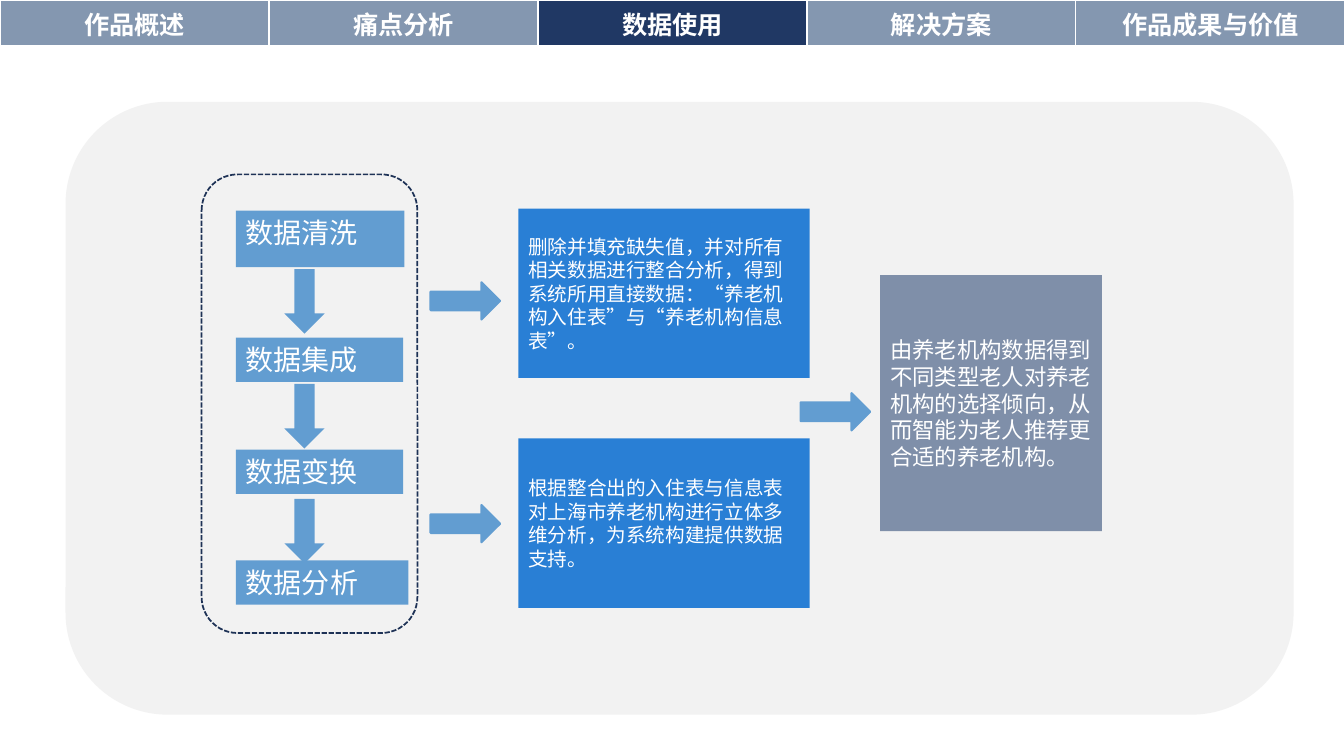
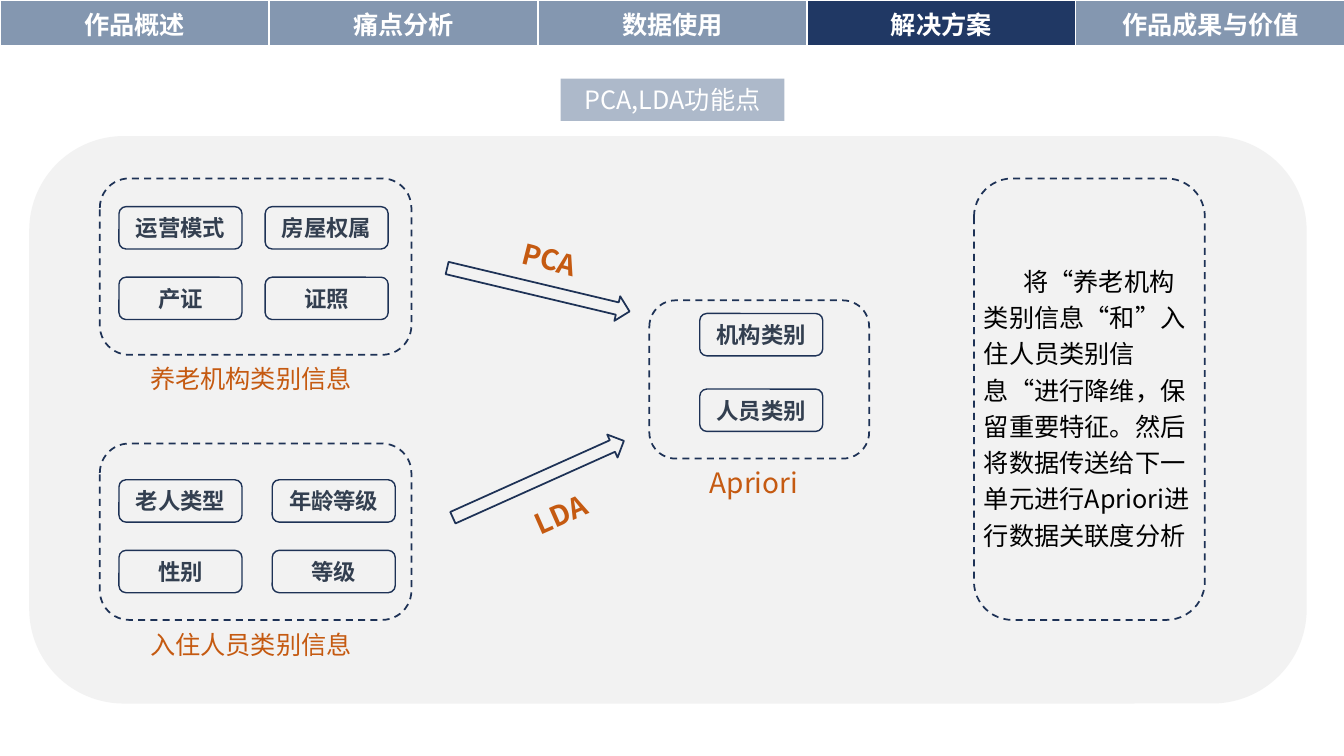
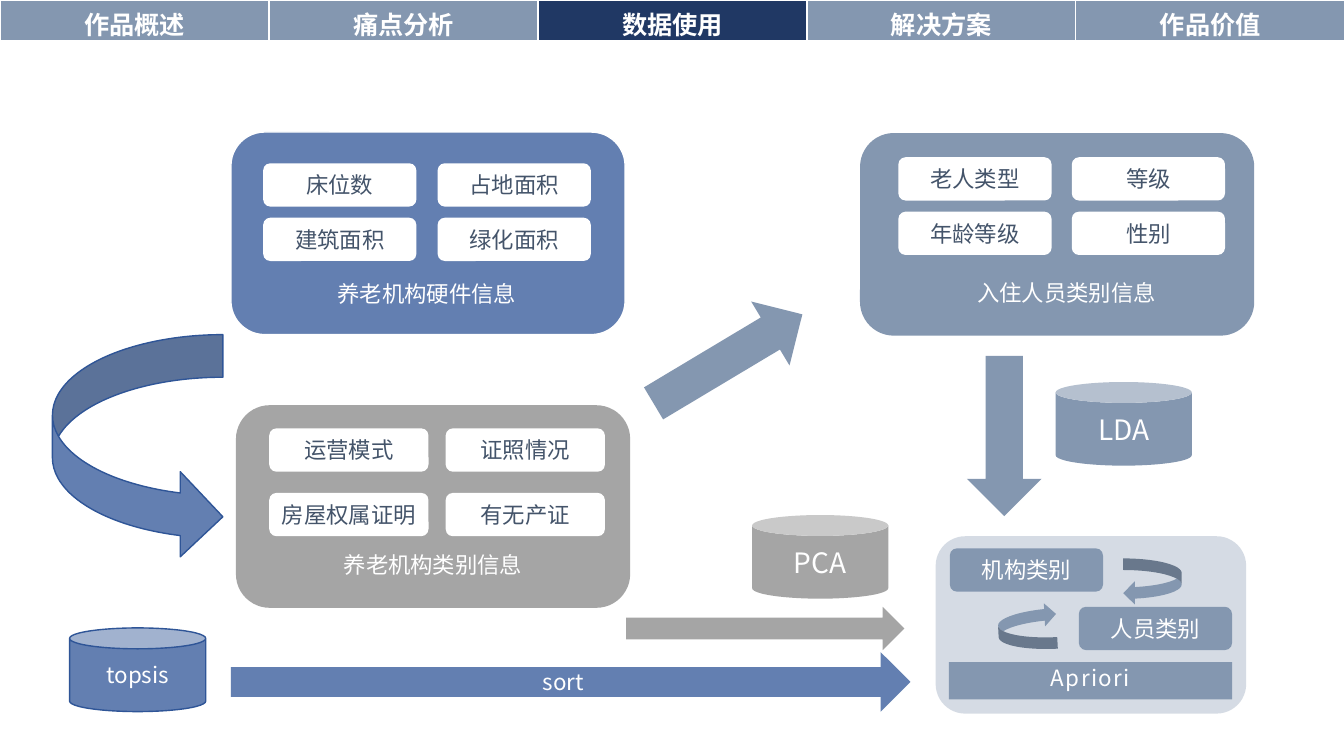
from lxml.etree import SubElement
from pptx import Presentation
from pptx.dml.color import RGBColor
from pptx.enum.dml import MSO_LINE
from pptx.enum.lang import MSO_LANGUAGE_ID as LANGUAGE
from pptx.enum.shapes import MSO_SHAPE as SHAPE
from pptx.enum.text import MSO_ANCHOR as ANCHOR, MSO_AUTO_SIZE as AUTO_SIZE, PP_ALIGN as ALIGN
from pptx.oxml import parse_xml
from pptx.oxml.ns import nsdecls, qn
from pptx.util import Inches, Pt

FONT = "Noto Sans CJK SC"
WHITE = RGBColor(0xFF, 0xFF, 0xFF)
BLACK = RGBColor(0x00, 0x00, 0x00)
PANEL = RGBColor(0xF2, 0xF2, 0xF2)
NAVY = RGBColor(0x20, 0x38, 0x64)
OUTLINE = RGBColor(0x1E, 0x32, 0x56)
STEEL = RGBColor(0x84, 0x97, 0xB0)
MIST = RGBColor(0xAD, 0xB9, 0xCA)
SLATE = RGBColor(0x7F, 0x8F, 0xA9)
SKY = RGBColor(0x62, 0x9D, 0xD1)
BLUE = RGBColor(0x29, 0x7F, 0xD5)
ROYAL = RGBColor(0x2F, 0x55, 0x97)
GRAY = RGBColor(0xA5, 0xA5, 0xA5)
ORANGE = RGBColor(0xC5, 0x5A, 0x11)
INK = RGBColor(0x33, 0x3F, 0x50)
CHIP_INK = RGBColor(0x44, 0x54, 0x6A)
SECTIONS = ("作品概述", "痛点分析", "数据使用", "解决方案")


def write(frame, text, size, color, bold=False, align=ALIGN.LEFT):
    """Put one formatted paragraph into a text frame and return it."""
    frame.text = text
    paragraph = frame.paragraphs[0]
    paragraph.alignment = align
    for span in paragraph.runs:
        font = span.font
        font.size, font.bold, font.name = Pt(size), bold, FONT
        font.color.rgb = color
        font.language_id = LANGUAGE.SIMPLIFIED_CHINESE
        east_asian = parse_xml(f'<a:ea {nsdecls("a")} typeface="{FONT}"/>')
        font._element.find(qn("a:latin")).addnext(east_asian)
    return paragraph


def add_box(shapes, kind, place, fill=None, line=None, weight=1, dash=None, rotation=0, alpha=None):
    """Add a flat preset shape."""
    box = shapes.add_shape(kind, *map(Inches, place))
    box.shadow.inherit = False
    box.rotation = rotation
    if fill is None:
        box.fill.background()
    else:
        box.fill.solid()
        box.fill.fore_color.rgb = fill
    if alpha is not None:
        color = box.fill._xPr.find(qn("a:solidFill"))[0]
        SubElement(color, qn("a:alpha")).set("val", str(alpha * 1000))
    if line is None:
        box.line.fill.background()
    else:
        box.line.color.rgb = line
        box.line.width = Pt(weight)
        box.line.dash_style = dash
    return box


def add_label(box, text, size, color=WHITE, bold=False, align=ALIGN.CENTER, anchor=ANCHOR.MIDDLE):
    """Write text inside a shape and return its paragraph."""
    box.text_frame.word_wrap = True
    box.text_frame.vertical_anchor = anchor
    return write(box.text_frame, text, size, color, bold, align)


def add_text(shapes, place, text, size, color, bold=False, align=ALIGN.LEFT, rotation=0):
    """Add a wrapped text box and return its paragraph."""
    box = shapes.add_textbox(*map(Inches, place))
    box.rotation = rotation
    return add_label(box, text, size, color, bold, align, ANCHOR.TOP)


def add_chip(shapes, place, text, fill=None, line=None, color=WHITE, bold=False):
    """Add a small rounded label."""
    chip = add_box(shapes, SHAPE.ROUNDED_RECTANGLE, place, fill, line)
    chip.text_frame.margin_left = chip.text_frame.margin_right = Inches(0.05)
    add_label(chip, text, 16, color, bold)


def add_chip_grid(shapes, origin, pitch, size, labels, **style):
    """Lay out chips two to a row."""
    for index, text in enumerate(labels):
        row, column = divmod(index, 2)
        place = (origin[0] + column * pitch[0], origin[1] + row * pitch[1], *size)
        add_chip(shapes, place, text, **style)


def add_frame(shapes, place, dash=MSO_LINE.DASH):
    """Add a dashed rounded frame."""
    return add_box(shapes, SHAPE.ROUNDED_RECTANGLE, place, line=OUTLINE, weight=1.25, dash=dash)


def add_navigation(page, active, last="作品成果与价值"):
    """Add the section bar with the active section highlighted."""
    names = (*SECTIONS, last)
    graphic = page.shapes.add_table(1, len(names), 0, 0, Inches(13.34), Inches(0.42))
    for index, (cell, name) in enumerate(zip(graphic.table.iter_cells(), names)):
        graphic.table.columns[index].width = Inches(13.34 / len(names))
        cell.fill.solid()
        cell.fill.fore_color.rgb = NAVY if name == active else STEEL
        write(cell.text_frame, name, 18, WHITE, True, ALIGN.CENTER)
        properties = cell._tc.get_or_add_tcPr()
        for order, (side, weight) in enumerate((("L", 1), ("R", 1), ("T", 1), ("B", 3))):
            properties.insert(order, parse_xml(
                f'<a:ln{side} {nsdecls("a")} w="{Pt(weight)}"><a:solidFill>'
                f'<a:srgbClr val="{WHITE}"/></a:solidFill></a:ln{side}>'))


def build_data_usage(deck):
    """Build the data processing slide."""
    page = deck.slides.add_slide(deck.slide_layouts[6])
    shapes = page.shapes
    add_box(shapes, SHAPE.ROUNDED_RECTANGLE, (0.65, 1.01, 12.18, 6.08), PANEL)
    for top in (2.67, 3.81, 4.95):
        add_box(shapes, SHAPE.DOWN_ARROW, (2.82, top, 0.4, 0.64), SKY)
    steps = (("数据清洗", 2.09, 1.67, 0.56), ("数据集成", 3.35, 1.66, 0.44),
             ("数据变换", 4.46, 1.66, 0.44), ("数据分析", 5.56, 1.71, 0.44))
    for text, top, width, height in steps:
        step = add_box(shapes, SHAPE.RECTANGLE, (2.34, top, width, height), SKY)
        add_label(step, text, 20, align=ALIGN.LEFT, anchor=ANCHOR.TOP)
    for left, top in ((4.43, 2.64), (4.43, 4.85), (8.1, 3.74)):
        add_box(shapes, SHAPE.DOWN_ARROW, (left, top, 0.37, 0.69), SKY, SKY, 1.5, rotation=270)
    results = (
        ((5.14, 2.07, 2.89, 1.68), BLUE, 14,
         "删除并填充缺失值，并对所有相关数据进行整合分析，得到系统所用直接数据：“养老机构入住表”与“养老机构信息表”。"),
        ((5.14, 4.35, 2.89, 1.68), BLUE, 14,
         "根据整合出的入住表与信息表对上海市养老机构进行立体多维分析，为系统构建提供数据支持。"),
        ((8.73, 2.73, 2.2, 2.54), SLATE, 16,
         "由养老机构数据得到不同类型老人对养老机构的选择倾向，从而智能为老人推荐更合适的养老机构。"),
    )
    for place, fill, size, text in results:
        add_label(add_box(shapes, SHAPE.RECTANGLE, place, fill), text, size, align=ALIGN.LEFT)
    add_navigation(page, "数据使用")
    add_frame(shapes, (2, 1.73, 2.14, 4.55), MSO_LINE.SQUARE_DOT)


def build_solution(deck):
    """Build the dimension reduction slide."""
    page = deck.slides.add_slide(deck.slide_layouts[5])
    shapes = page.shapes
    title = shapes.title
    title.left, title.top, title.width, title.height = map(Inches, (5.56, 0.78, 2.22, 0.42))
    title.fill.solid()
    title.fill.fore_color.rgb = MIST
    title.text_frame.auto_size = AUTO_SIZE.NONE
    add_label(title, "PCA,LDA功能点", 18)
    add_box(shapes, SHAPE.ROUNDED_RECTANGLE, (0.29, 1.35, 12.67, 5.63), PANEL)
    add_navigation(page, "解决方案")

    style = dict(line=OUTLINE, color=INK, bold=True)
    groups = (
        (1.77, 2.05, 1.45, "养老机构类别信息", ("运营模式", "房屋权属", "产证", "证照")),
        (4.4, 4.76, 1.52, "入住人员类别信息", ("老人类型", "年龄等级", "性别", "等级")),
    )
    for top, chip_top, pitch, caption, labels in groups:
        add_frame(shapes, (0.99, top, 3.09, 1.75))
        add_chip_grid(shapes, (1.18, chip_top), (pitch, 0.7), (1.22, 0.42), labels, **style)
        add_text(shapes, (1.39, top + 1.79, 2.48, 0.4), caption, 18, ORANGE)

    add_frame(shapes, (6.44, 2.98, 2.18, 1.57))
    for top, text in ((3.11, "机构类别"), (3.86, "人员类别")):
        add_chip(shapes, (6.94, top, 1.22, 0.42), text, **style)
    add_text(shapes, (6.94, 4.57, 2.48, 0.44), "Apriori", 20, ORANGE)

    for top, rotation in ((2.75, 13.4), (4.63, 335.8)):
        add_box(shapes, SHAPE.RIGHT_ARROW, (4.41, top, 1.86, 0.25), line=OUTLINE, weight=1.25, rotation=rotation)
    add_text(shapes, (5.05, 2.57, 2.48, 0.44), "PCA", 20, ORANGE, True, rotation=14.3)
    add_text(shapes, (5.12, 4.53, 2.48, 0.44), "LDA", 20, ORANGE, True, rotation=336.2)

    add_frame(shapes, (9.66, 1.77, 2.29, 4.38))
    summary = add_text(
        shapes, (9.66, 2.53, 2.29, 3.01),
        "将“养老机构类别信息“和”入住人员类别信息“进行降维，保留重要特征。然后将数据传送给下一单元进行Apriori进行数据关联度分析",
        18, BLACK)
    summary.line_spacing = 1.2
    summary._p.get_or_add_pPr().set("indent", str(Inches(0.39)))


def add_card(shapes, place, caption_place, caption, fill, **style):
    """Add a filled card with a caption."""
    add_box(shapes, SHAPE.ROUNDED_RECTANGLE, place, fill, **style)
    add_text(shapes, caption_place, caption, 16, WHITE, align=ALIGN.CENTER)


def add_can(shapes, left, top, text, size, fill, **style):
    """Add a cylinder naming an algorithm."""
    add_label(add_box(shapes, SHAPE.CAN, (left, top, 1.35, 0.83), fill, **style), text, size)


def build_data_flow(deck):
    """Build the data flow slide."""
    page = deck.slides.add_slide(deck.slide_layouts[6])
    shapes = page.shapes
    add_navigation(page, "数据使用", "作品价值")
    chip_style = dict(fill=WHITE, color=CHIP_INK)

    add_card(shapes, (2.29, 1.31, 3.91, 2.01), (2.61, 2.73, 3.25, 0.48),
             "养老机构硬件信息", ROYAL, line=WHITE, alpha=75)
    add_chip_grid(shapes, (2.61, 1.62), (1.73, 0.54), (1.52, 0.43),
                  ("床位数", "占地面积", "建筑面积", "绿化面积"), **chip_style)
    add_card(shapes, (2.34, 4.02, 3.91, 2.01), (2.67, 5.42, 3.25, 0.48), "养老机构类别信息", GRAY)
    add_chip_grid(shapes, (2.67, 4.25), (1.75, 0.64), (1.58, 0.43),
                  ("运营模式", "证照情况", "房屋权属证明", "有无产证"), **chip_style)
    add_card(shapes, (8.53, 1.32, 3.91, 2.01), (9.01, 2.72, 3.14, 0.43), "入住人员类别信息", STEEL)
    add_chip_grid(shapes, (8.91, 1.56), (1.72, 0.54), (1.52, 0.43),
                  ("老人类型", "等级", "年龄等级", "性别"), **chip_style)

    add_box(shapes, SHAPE.CURVED_RIGHT_ARROW, (0.52, 3.32, 1.69, 2.23), ROYAL, ROYAL, alpha=75)
    add_can(shapes, 0.69, 6.23, "topsis", 16, ROYAL, line=ROYAL, alpha=75)
    add_can(shapes, 7.46, 5.11, "PCA", 20, GRAY)
    add_can(shapes, 10.47, 3.79, "LDA", 20, STEEL)
    add_box(shapes, SHAPE.DOWN_ARROW, (9.59, 3.53, 0.74, 1.59), STEEL)
    add_box(shapes, SHAPE.RIGHT_ARROW, (6.21, 6.02, 2.76, 0.43), GRAY)

    apriori = shapes.add_group_shape().shapes
    add_box(apriori, SHAPE.ROUNDED_RECTANGLE, (9.28, 5.32, 3.08, 1.76), MIST, alpha=50)
    band = add_box(apriori, SHAPE.RECTANGLE, (9.41, 6.57, 2.81, 0.37), STEEL)
    caption = add_label(band, "Apriori", 16, anchor=ANCHOR.TOP)
    band.text_frame.margin_top = band.text_frame.margin_bottom = Inches(0.02)
    caption.runs[0].font._element.set("spc", "100")
    add_chip(apriori, (9.42, 5.44, 1.52, 0.43), "机构类别", STEEL)
    add_chip(apriori, (10.7, 6.02, 1.52, 0.43), "人员类别", STEEL)
    for left, top, rotation in ((11.14, 5.54, 0), (9.9, 5.99, 177)):
        add_box(apriori, SHAPE.CURVED_LEFT_ARROW, (left, top, 0.58, 0.46), STEEL, rotation=rotation)

    sort = add_box(shapes, SHAPE.RIGHT_ARROW, (2.29, 6.47, 6.74, 0.59), ROYAL, alpha=75)
    add_label(sort, "sort", 16)
    add_box(shapes, SHAPE.DOWN_ARROW, (6.85, 2.7, 0.74, 1.72), STEEL, rotation=239.1)


def main():
    """Build and save the deck."""
    deck = Presentation()
    deck.slide_width, deck.slide_height = Inches(13.33), Inches(7.5)
    build_data_usage(deck)
    build_solution(deck)
    build_data_flow(deck)
    deck.save("out.pptx")


if __name__ == "__main__":
    main()
